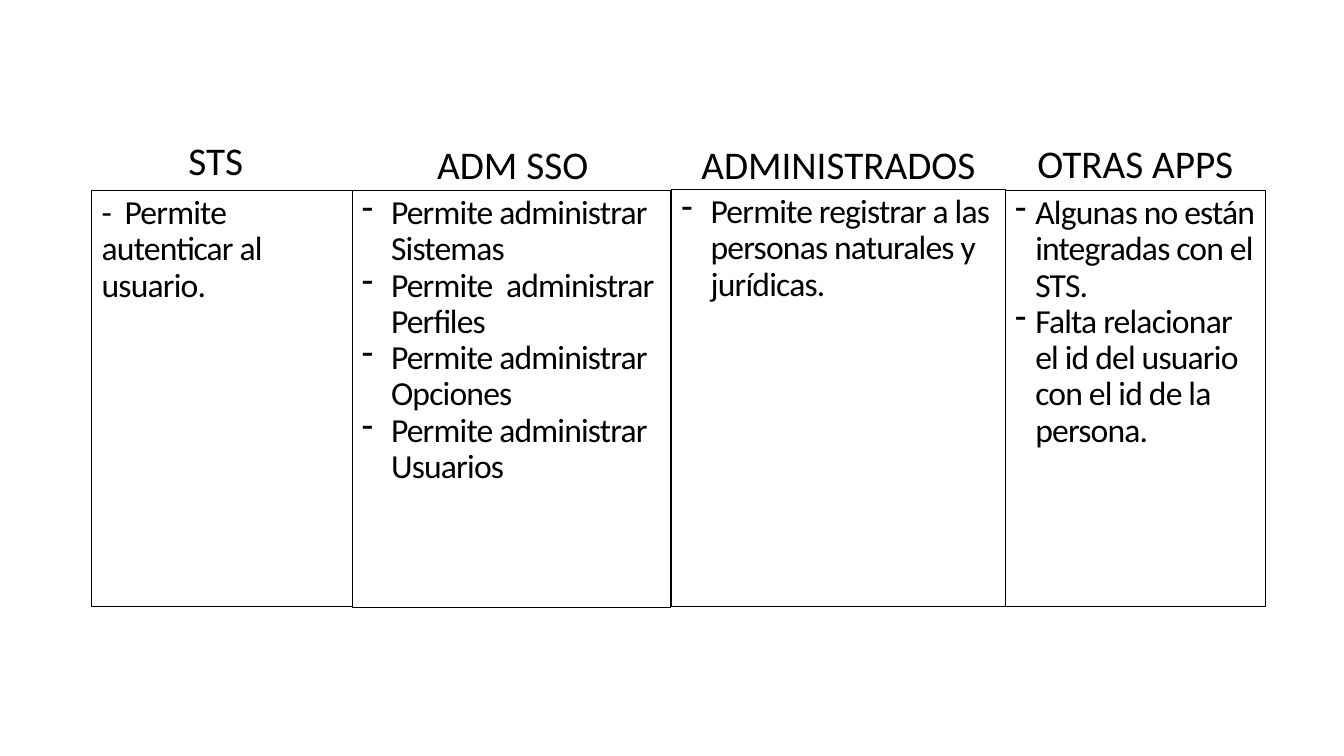
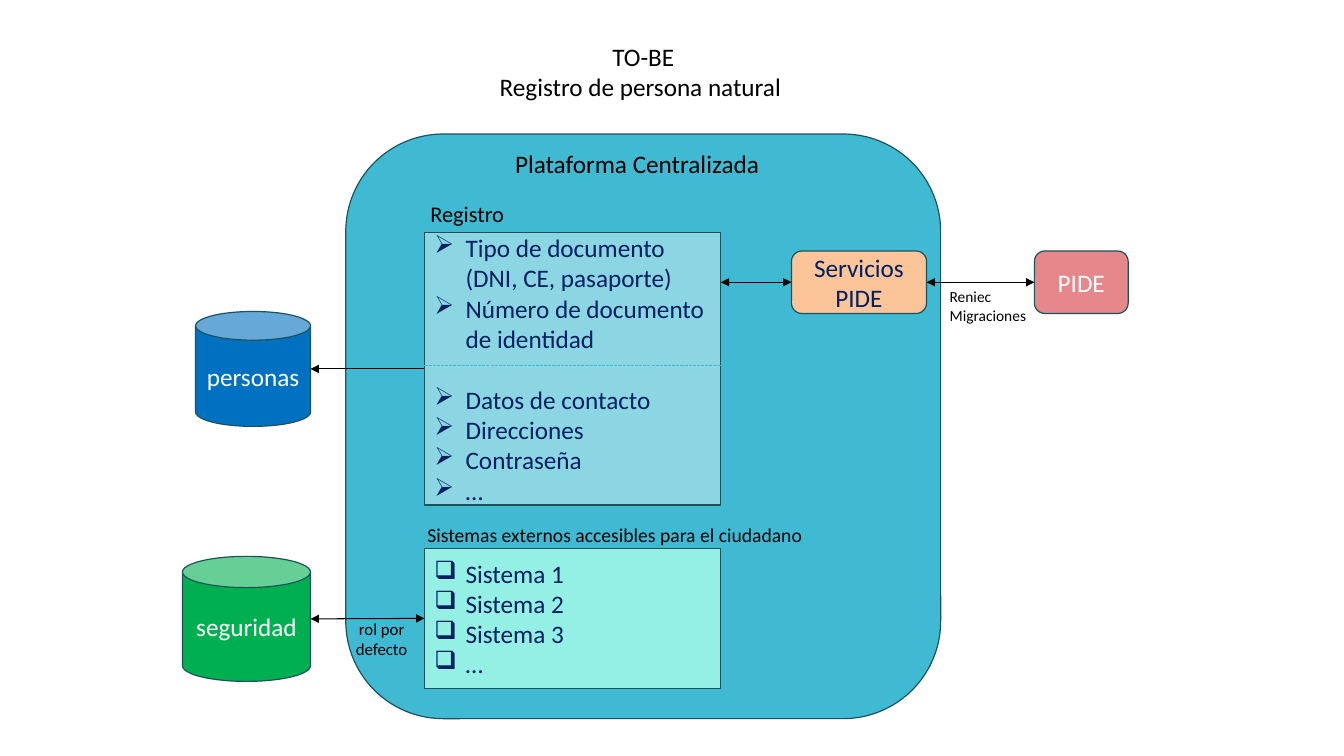
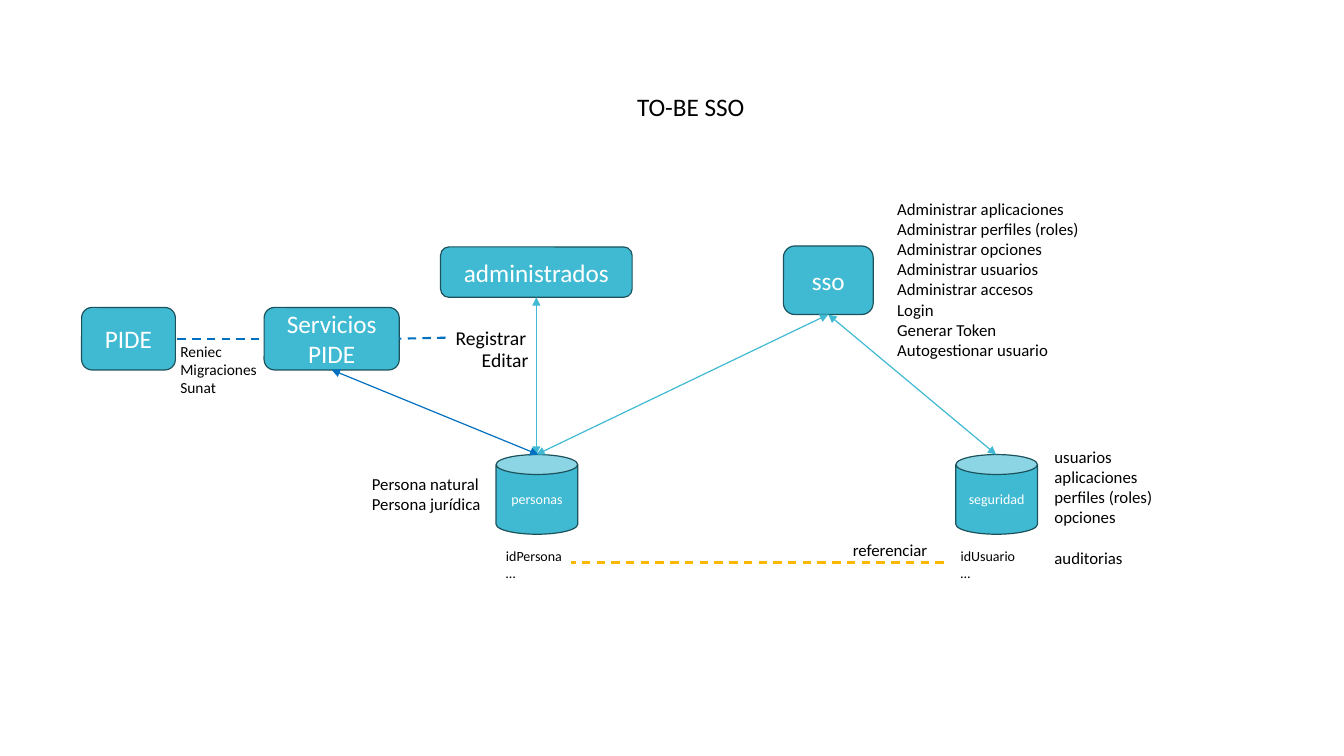
from pptx import Presentation
from pptx.dml.color import RGBColor
from pptx.enum.dml import MSO_LINE
from pptx.enum.shapes import MSO_CONNECTOR, MSO_SHAPE
from pptx.enum.text import MSO_ANCHOR, MSO_AUTO_SIZE, PP_ALIGN
from pptx.oxml.ns import qn
from pptx.util import Pt
from lxml.etree import SubElement

PX = 9144  # 100 px to the inch
FONT = "Calibri"
BLACK = RGBColor(0x00, 0x00, 0x00)
WHITE = RGBColor(0xFF, 0xFF, 0xFF)
NAVY = RGBColor(0x00, 0x20, 0x60)
TEAL = RGBColor(0x40, 0xBA, 0xD2)
DARK_TEAL = RGBColor(0x1C, 0x52, 0x5C)
PALE_TEAL = RGBColor(0x8C, 0xD6, 0xE4)
MINT = RGBColor(0x94, 0xF0, 0xE4)
PEACH = RGBColor(0xFC, 0xC5, 0x99)
ROSE = RGBColor(0xE6, 0x88, 0x8B)
BLUE = RGBColor(0x00, 0x70, 0xC0)
GREEN = RGBColor(0x00, 0xB0, 0x50)
AMBER = RGBColor(0xFA, 0xB9, 0x00)

RECT, ROUND, CAN = MSO_SHAPE.RECTANGLE, MSO_SHAPE.ROUNDED_RECTANGLE, MSO_SHAPE.CAN
LEFT, CENTER = PP_ALIGN.LEFT, PP_ALIGN.CENTER
TOP, MIDDLE = MSO_ANCHOR.TOP, MSO_ANCHOR.MIDDLE
TOP_SIDE, LEFT_SIDE, BOTTOM_SIDE, RIGHT_SIDE = range(4)


def add_box(slide, box, lines, size=18, kind=None, fill=None, line=DARK_TEAL, weight=0.85,
            color=None, align=None, anchor=None, wrap=True, bullet=None, indent=0,
            spacing=None, tracking=None, gaps={}):
    """Add a preset shape, or a text box when kind is None; gaps maps a line to its space before."""
    position = [length * PX for length in box]
    if kind is None:
        shape = slide.shapes.add_textbox(*position)
        shape.text_frame.auto_size = MSO_AUTO_SIZE.SHAPE_TO_FIT_TEXT
    else:
        shape = slide.shapes.add_shape(kind, *position)
        shape.shadow.inherit = False
        shape.line.color.rgb = line
        shape.line.width = Pt(weight)
        if fill is None:
            shape.fill.background()
        else:
            shape.fill.solid()
            shape.fill.fore_color.rgb = fill
    frame = shape.text_frame
    frame.word_wrap = wrap
    frame.vertical_anchor = anchor or (MIDDLE if kind else TOP)
    for index, text in enumerate(lines):
        paragraph = frame.paragraphs[0] if index == 0 else frame.add_paragraph()
        run = paragraph.add_run()
        run.text = text
        formats = {"alignment": align or (CENTER if kind else LEFT),
                   "line_spacing": spacing, "space_before": gaps.get(index)}
        for name, value in formats.items():
            setattr(paragraph, name, value)
        for name, value in {"name": FONT, "size": Pt(size)}.items():
            setattr(run.font, name, value)
        run.font.color.rgb = color or (WHITE if kind else BLACK)
        if tracking:
            run.font._element.set("spc", str(tracking))
        if bullet:
            properties = paragraph._p.get_or_add_pPr()
            properties.set("marL", str(indent * PX))
            properties.set("indent", str(-indent * PX))
            SubElement(properties, qn("a:buChar"), char=bullet)
    return shape


def add_line(slide, start, end, color=BLACK, weight=0.75, dash=None, arrows=""):
    """Join two ends, each a point (x, y) or a (shape, side) pair."""
    points = [end_ if isinstance(end_[0], int) else (0, 0) for end_ in (start, end)]
    connector = slide.shapes.add_connector(
        MSO_CONNECTOR.STRAIGHT, *[length * PX for point in points for length in point])
    if not isinstance(start[0], int):
        connector.begin_connect(*start)
    if not isinstance(end[0], int):
        connector.end_connect(*end)
    connector.line.color.rgb = color
    connector.line.width = Pt(weight)
    if dash:
        connector.line.dash_style = dash
    for tag in arrows.split():
        SubElement(connector.line._get_or_add_ln(), qn(f"a:{tag}"), type="triangle")
    SubElement(connector._element.spPr, qn("a:effectLst"))


BOTH, TAIL = "headEnd tailEnd", "tailEnd"

presentation = Presentation()
presentation.slide_width = 1333 * PX
presentation.slide_height = 750 * PX
slides = [presentation.slides.add_slide(presentation.slide_layouts[6]) for _ in range(3)]

# Slide 1: four columns of functions
slide = slides[0]
columns = [
    ("STS", (85, 130, 258, 57), (91, 189, 259, 413), None, 0,
     ["-  Permite autenticar al usuario."]),
    ("ADM SSO", (412, 134, 193, 57), (349, 189, 316, 414), "-", 29,
     ["Permite administrar Sistemas", "Permite  administrar Perfiles",
      "Permite administrar Opciones", "Permite administrar Usuarios"]),
    ("ADMINISTRADOS", (673, 134, 317, 57), (666, 188, 331, 414), "-", 29,
     ["Permite registrar a las personas naturales y jurídicas."]),
    ("OTRAS APPS", (1004, 133, 244, 57), (997, 189, 258, 413), "-", 20,
     ["Algunas no están integradas con el STS.",
      "Falta relacionar el id del usuario con el id de la persona."]),
]
for heading, heading_box, body_box, bullet, indent, lines in columns:
    add_box(slide, body_box, lines, 24, RECT, line=BLACK, weight=0.5, color=BLACK, align=LEFT,
            anchor=TOP, bullet=bullet, indent=indent, spacing=0.9, tracking=-60)
    add_box(slide, heading_box, [heading], 28, align=CENTER)

# Slide 2: central platform and its panels
slide = slides[1]
add_box(slide, (482, 36, 312, 71), ["TO-BE", "Registro de persona natural "],
        align=CENTER, wrap=False)
add_box(slide, (343, 133, 590, 580), [], kind=ROUND, fill=TEAL)
add_box(slide, (501, 142, 273, 40), ["Plataforma Centralizada"], wrap=False)
panel = {"kind": RECT, "color": NAVY, "align": LEFT, "indent": 31}
registry = add_box(
    slide, (421, 231, 294, 270),
    ["Tipo de documento (DNI, CE, pasaporte)", "Número de documento de identidad",
     "Datos de contacto", "Direcciones", "Contraseña", "…"],
    fill=PALE_TEAL, bullet="➢", gaps={2: Pt(22)}, **panel)
systems = add_box(slide, (421, 544, 294, 139), ["Sistema 1", "Sistema 2", "Sistema 3", "…"],
                  fill=MINT, bullet="❑", **panel)
add_box(slide, (417, 194, 111, 37), ["Registro"], 16)
add_box(slide, (414, 514, 404, 34), ["Sistemas externos accesibles para el ciudadano"], 14)

# Services and databases around the platform
services = add_box(slide, (785, 249, 134, 62), ["Servicios PIDE"], kind=ROUND, fill=PEACH,
                   color=NAVY)
pide = add_box(slide, (1026, 249, 93, 62), ["PIDE"], kind=ROUND, fill=ROSE)
add_box(slide, (194, 309, 114, 114), ["personas"], kind=CAN, fill=BLUE)
add_box(slide, (181, 552, 127, 124), ["seguridad"], kind=CAN, fill=GREEN)
add_box(slide, (932, 280, 97, 47), ["Reniec", "Migraciones"], 11)
add_box(slide, (329, 609, 99, 50), ["rol por defecto"], 12, align=CENTER)

add_line(slide, (715, 280), (services, LEFT_SIDE), arrows=BOTH)
add_line(slide, (services, RIGHT_SIDE), (pide, LEFT_SIDE), arrows=BOTH)
add_line(slide, (registry, LEFT_SIDE), (308, 366), arrows=TAIL)
add_line(slide, (308, 614), (systems, LEFT_SIDE), arrows=BOTH)
add_line(slide, (421, 363), (715, 363), TEAL, dash=MSO_LINE.SQUARE_DOT)

# Slide 3: applications and databases
slide = slides[2]
add_box(slide, (622, 86, 140, 40), ["TO-BE SSO"], wrap=False)
sso, administered, services, pide = [
    add_box(slide, box, [name], kind=ROUND, fill=TEAL)
    for name, box in [("sso", (777, 244, 89, 68)), ("administrados", (437, 245, 190, 50)),
                      ("Servicios PIDE", (262, 305, 134, 62)), ("PIDE", (81, 305, 93, 62))]]
for name, left in [("personas", 492), ("seguridad", 948)]:
    add_box(slide, (left, 451, 81, 79), [name], 10, CAN, TEAL)

# Labels
register = add_box(slide, (442, 318, 102, 34), ["Registrar"], 14)
labels = [
    ((468, 340, 70, 34), 14, False, ["Editar"]),
    ((880, 192, 204, 172), 12, False,
     ["Administrar aplicaciones", "Administrar perfiles (roles)", "Administrar opciones",
      "Administrar usuarios", "Administrar accesos", "Login", "Generar Token",
      "Autogestionar usuario"]),
    ((359, 465, 133, 50), 12, True, ["Persona natural", "Persona jurídica"]),
    ((492, 538, 89, 44), 10, True, ["idPersona", "…"]),
    ((943, 538, 89, 44), 10, True, ["idUsuario", "…"]),
    ((836, 531, 96, 30), 12, False, ["referenciar"]),
    ((169, 334, 97, 66), 11, True, ["Reniec", "Migraciones", "Sunat"]),
]
for box, size, wrap, lines in labels:
    add_box(slide, box, lines, size, wrap=wrap)
add_box(slide, (1036, 438, 137, 131),
        ["usuarios", "aplicaciones", "perfiles (roles)", "opciones", "auditorias"], 12,
        gaps={4: Pt(14.6)})

# Data flows and references
flows = [((sso, BOTTOM_SIDE), (988, 451), TEAL), ((sso, BOTTOM_SIDE), (532, 451), TEAL),
         ((administered, BOTTOM_SIDE), (532, 451), TEAL),
         ((services, BOTTOM_SIDE), (534, 451), BLUE)]
for start, end, color in flows:
    add_line(slide, start, end, color, 0.85, arrows=BOTH)
references = [((register, LEFT_SIDE), (services, RIGHT_SIDE), BLUE),
              ((176, 336), (services, LEFT_SIDE), BLUE), ((936, 558), (566, 558), AMBER)]
for start, end, color in references:
    add_line(slide, start, end, color, 1.5, MSO_LINE.DASH)

presentation.save("out.pptx")
